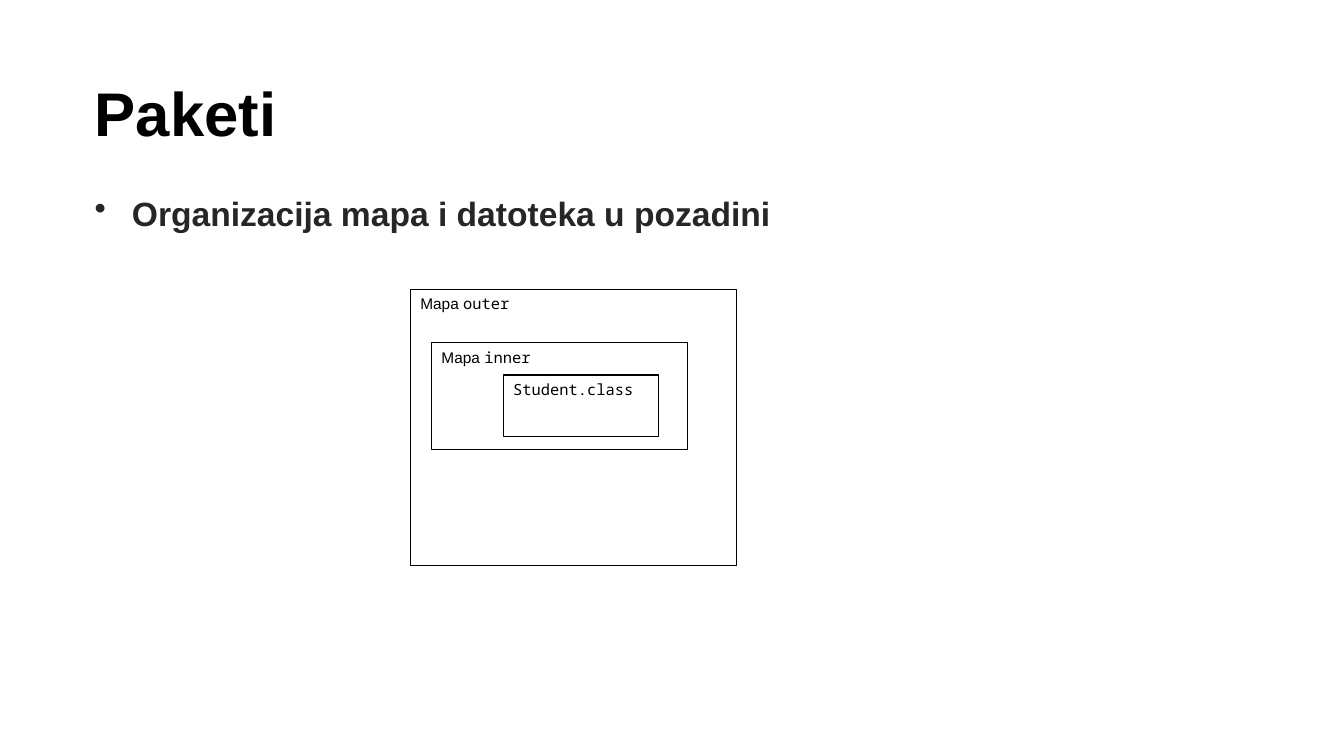
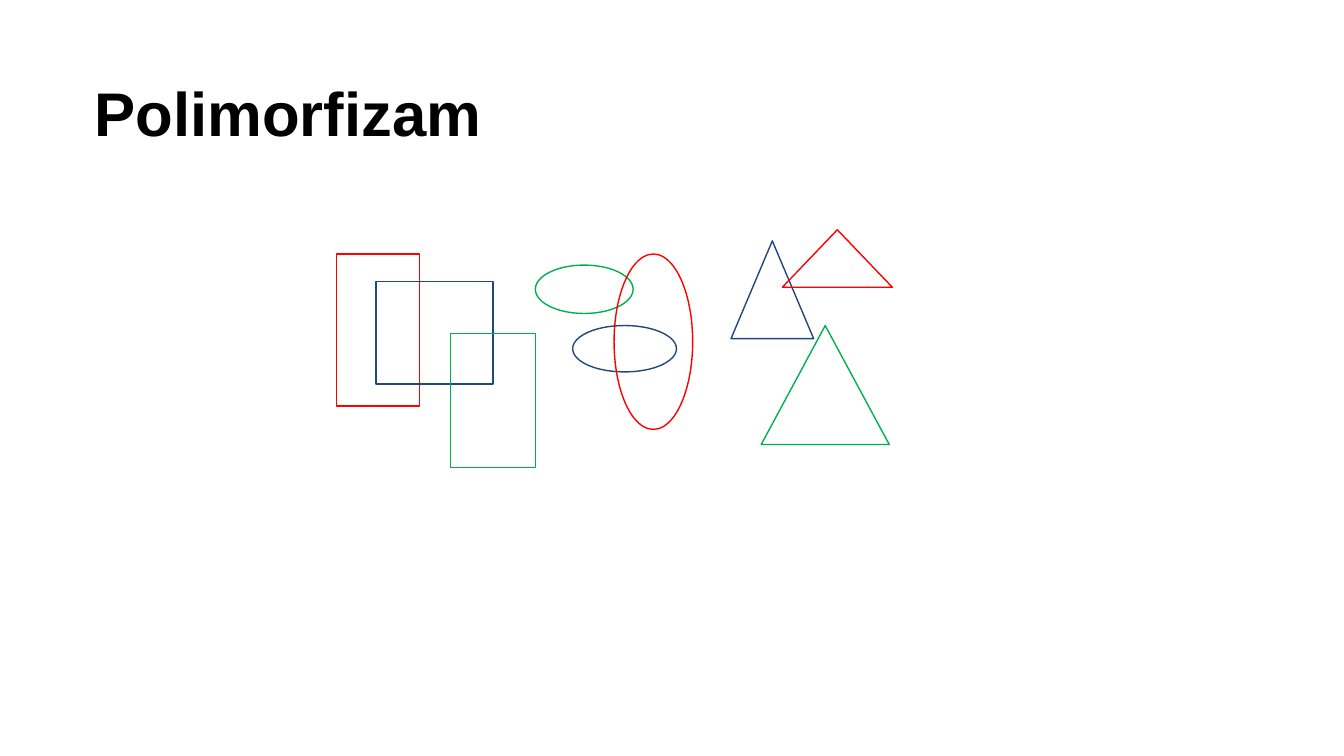
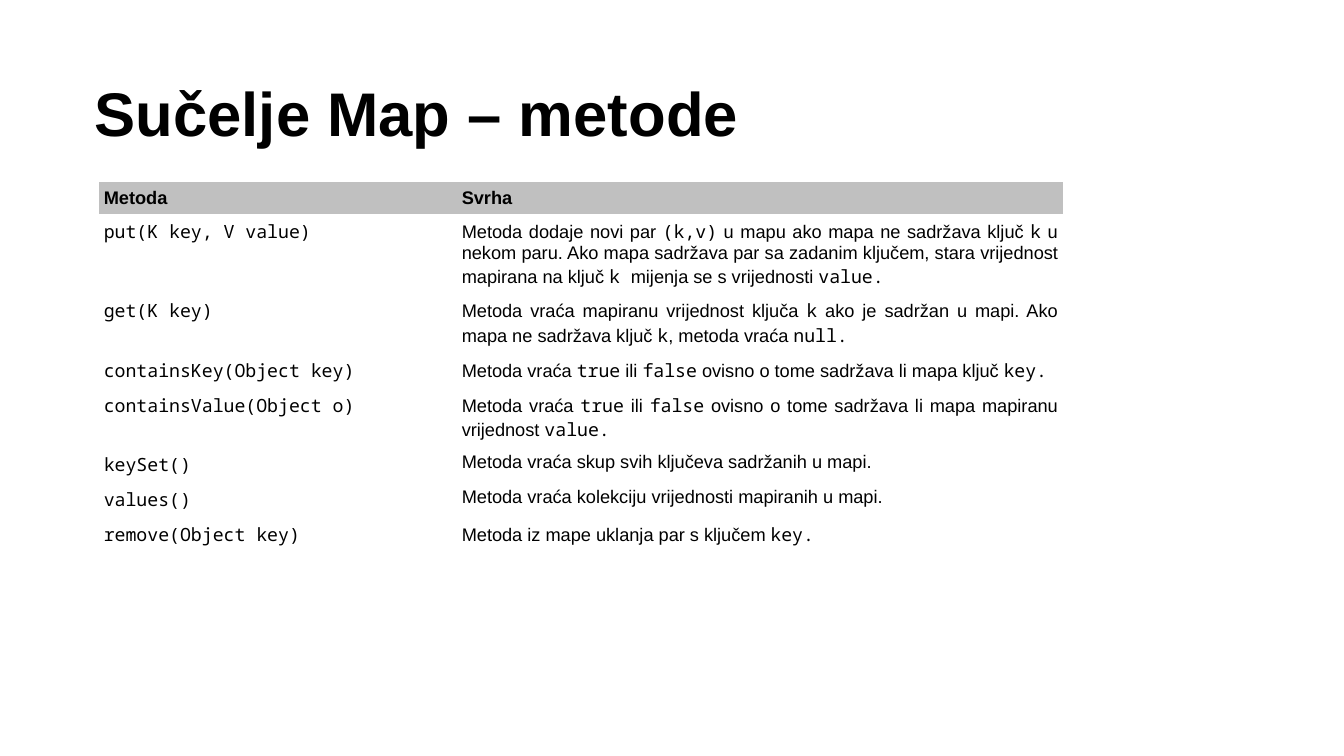
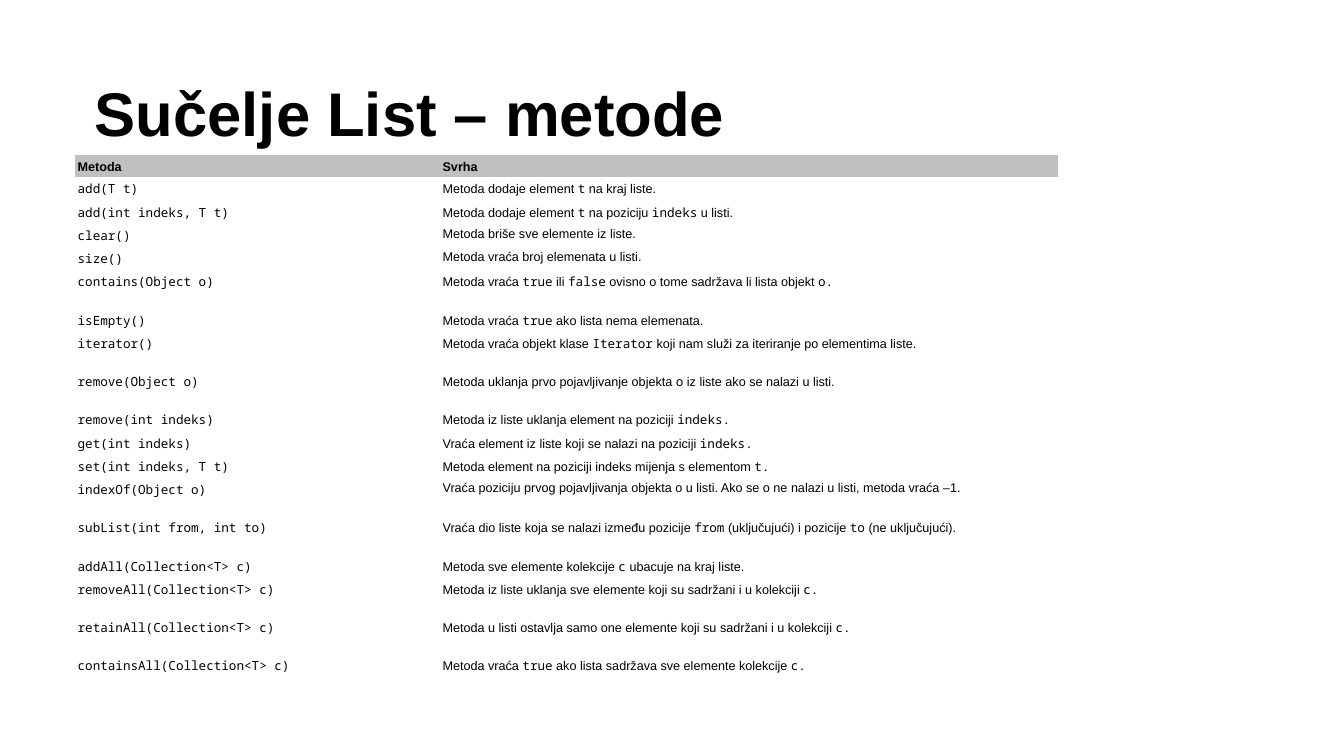
import pptx
import pptx.util
import pptx.dml.color
import pptx.enum.shapes
import pptx.enum.text
import pptx.oxml
import pptx.oxml.ns
from dataclasses import dataclass

Inches, Pt = pptx.util.Inches, pptx.util.Pt
Align, Anchor = pptx.enum.text.PP_ALIGN, pptx.enum.text.MSO_ANCHOR
Auto = pptx.enum.text.MSO_AUTO_SIZE
Kind = pptx.enum.shapes.MSO_SHAPE


@dataclass(frozen=True)
class Theme:
    sans: str = "Arial"
    mono: str = "Noto Sans Mono"
    black: str = "000000"
    body: str = "262626"
    white: str = "FFFFFF"
    grey: str = "C0C0C0"
    red: str = "FF0000"
    green: str = "00B050"
    blue: str = "1F497D"
    title: int = 44
    bullet: int = 24
    label: int = 11


T = Theme()
PLAIN = "{2D5ABB26-0587-4C30-8999-92F81FD0307C}"  # table style without grid

# Text between backticks is set in the code font.
BULLET = "Organizacija mapa i datoteka u pozadini"
FOLDERS = [
    ("Mapa `outer`", (4.07, 2.87, 3.24, 2.74)),
    ("Mapa `inner`", (4.28, 3.4, 2.54, 1.06)),
    ("`Student.class`", (4.99, 3.72, 1.54, 0.61)),
]

FIGURES = [
    (Kind.OVAL, T.green, (5.31, 2.63, 0.97, 0.48)),
    (Kind.OVAL, T.blue, (5.68, 3.23, 1.03, 0.46)),
    (Kind.OVAL, T.red, (6.09, 2.52, 0.78, 1.74)),
    (Kind.RECTANGLE, T.red, (3.34, 2.52, 0.82, 1.51)),
    (Kind.RECTANGLE, T.blue, (3.73, 2.79, 1.16, 1.02)),
    (Kind.RECTANGLE, T.green, (4.47, 3.31, 0.84, 1.33)),
    (Kind.ISOSCELES_TRIANGLE, T.blue, (7.25, 2.39, 0.82, 0.97)),
    (Kind.ISOSCELES_TRIANGLE, T.green, (7.55, 3.23, 1.27, 1.18)),
    (Kind.ISOSCELES_TRIANGLE, T.red, (7.76, 2.28, 1.09, 0.57)),
]

HEADS = ("Metoda", "Svrha")

# Each row: method, purpose, height.
MAP = [
    ("put(K key, V value)",
     "Metoda dodaje novi par `(k,v)` u mapu ako mapa ne sadržava ključ `k` u nekom paru. "
     "Ako mapa sadržava par sa zadanim ključem, stara vrijednost mapirana na ključ "
     "`k `mijenja se s vrijednosti `value. `", 0.74),
    ("get(K key)",
     "Metoda vraća mapiranu vrijednost ključa `k` ako je sadržan u mapi. "
     "Ako mapa ne sadržava ključ `k`, metoda vraća `null.`", 0.53),
    ("containsKey(Object key)",
     "Metoda vraća `true` ili `false` ovisno o tome sadržava li mapa ključ `key.`", 0.31),
    ("containsValue(Object o)",
     "Metoda vraća `true` ili `false` ovisno o tome sadržava li mapa mapiranu "
     "vrijednost `value.`", 0.53),
    ("keySet()", "Metoda vraća skup svih ključeva sadržanih u mapi. ", 0.31),
    ("values()", "Metoda vraća kolekciju vrijednosti mapiranih u mapi.", 0.31),
    ("remove(Object key)", "Metoda iz mape uklanja par s ključem `key.`", 0.31),
]

LIST = [
    ("add(T t)", "Metoda dodaje element `t` na kraj liste. ", 0.22),
    ("add(int indeks, T t)", "Metoda dodaje element `t` na poziciju `indeks` u listi.", 0.22),
    ("clear()", "Metoda briše sve elemente iz liste.", 0.22),
    ("size()", "Metoda vraća broj elemenata u listi.", 0.22),
    ("contains(Object o)",
     "Metoda vraća `true` ili `false` ovisno o tome sadržava li lista objekt `o.`", 0.38),
    ("isEmpty()", "Metoda vraća `true` ako lista nema elemenata. ", 0.22),
    ("iterator()",
     "Metoda vraća objekt klase `Iterator` koji nam služi za iteriranje po elementima liste.",
     0.38),
    ("remove(Object o)",
     "Metoda uklanja prvo pojavljivanje objekta `o` iz liste ako se nalazi u listi.", 0.38),
    ("remove(int indeks)", "Metoda iz liste uklanja element na poziciji `indeks.`", 0.22),
    ("get(int indeks)", "Vraća element iz liste koji se nalazi na poziciji `indeks.`", 0.22),
    ("set(int indeks, T t)",
     "Metoda element na poziciji indeks mijenja s elementom `t.`", 0.22),
    ("indexOf(Object o)",
     "Vraća poziciju prvog pojavljivanja objekta o u listi. "
     "Ako se o ne nalazi u listi, metoda vraća –1.", 0.38),
    ("subList(int from, int to)",
     "Vraća dio liste koja se nalazi između pozicije `from` (uključujući) i pozicije "
     "`to` (ne uključujući).", 0.38),
    ("addAll(Collection<T> c)", "Metoda sve elemente kolekcije `c` ubacuje na kraj liste.", 0.22),
    ("removeAll(Collection<T> c)",
     "Metoda iz liste uklanja sve elemente koji su sadržani i u kolekciji `c.`", 0.38),
    ("retainAll(Collection<T> c)",
     "Metoda u listi ostavlja samo one elemente koji su sadržani i u kolekciji `c.`", 0.38),
    ("containsAll(Collection<T> c)",
     "Metoda vraća `true` ako lista sadržava sve elemente kolekcije `c.`", 0.38),
]


def rgb(code):
    return pptx.dml.color.RGBColor.from_string(code)


def place(box):
    return [Inches(v) for v in box]


def write(para, text, size, color=T.black, bold=False, align=Align.LEFT):
    """Fill a paragraph, setting the parts between backticks in the code font."""
    para.alignment = align
    for i, part in enumerate(text.split("`")):
        if part:
            run = para.add_run()
            run.text = part
            run.font.name = T.mono if i % 2 else T.sans
            run.font.size = Pt(size)
            run.font.bold = bold
            run.font.color.rgb = rgb(color)


def page(deck, title):
    """Add a slide with its title and return it."""
    slide = deck.slides.add_slide(deck.slide_layouts[5])
    head = slide.shapes.title
    head.left, head.top, head.width, head.height = place((0.84, 0.62, 10, 0.92))
    frame = head.text_frame
    frame.auto_size = Auto.NONE
    frame.vertical_anchor = Anchor.BOTTOM
    para = frame.paragraphs[0]
    para.line_spacing = 0.9
    write(para, title, T.title, bold=True)
    return slide


def point(slide, text, box):
    """Add a bulleted line."""
    frame = slide.shapes.add_textbox(*place(box)).text_frame
    frame.word_wrap = True
    frame.auto_size = Auto.SHAPE_TO_FIT_TEXT
    para = frame.paragraphs[0]
    para.space_before = Pt(0.2 * T.bullet)
    write(para, text, T.bullet, T.body, bold=True)
    props = para._p.get_or_add_pPr()
    props.set("marL", str(Inches(0.37)))
    props.set("indent", str(Inches(-0.37)))
    mark = pptx.oxml.parse_xml(f'<a:buChar {pptx.oxml.ns.nsdecls("a")} char="•"/>')
    props.append(mark)


def draw(group, kind, box, line, width, fill=None):
    shape = group.shapes.add_shape(kind, *place(box))
    shape.shadow.inherit = False
    if fill:
        shape.fill.solid()
        shape.fill.fore_color.rgb = rgb(fill)
    else:
        shape.fill.background()
    shape.line.color.rgb = rgb(line)
    shape.line.width = Pt(width)
    return shape


def grid(slide, rows, spot, cols, size, pad):
    """Add a table of methods with a grey head row as tall as the lowest row."""
    tall = [min(r[2] for r in rows)] + [r[2] for r in rows]
    box = (*spot, sum(cols), sum(tall))
    frame = slide.shapes.add_table(len(tall), len(cols), *place(box))
    for tag in frame.element.iter(pptx.oxml.ns.qn("a:tableStyleId")):
        tag.text = PLAIN
    table = frame.table
    table.first_row = table.horz_banding = False
    for col, width in zip(table.columns, cols):
        col.width = Inches(width)
    for row, height in zip(table.rows, tall):
        row.height = Inches(height)
    texts = [HEADS] + [(f"`{name}`", use) for name, use, _ in rows]
    for r, line in enumerate(texts):
        for c, text in enumerate(line):
            cell = table.cell(r, c)
            cell.margin_left = cell.margin_right = Inches(pad)
            cell.margin_top = cell.margin_bottom = Inches(pad)
            para = cell.text_frame.paragraphs[0]
            if r == 0:
                cell.fill.solid()
                cell.fill.fore_color.rgb = rgb(T.grey)
                cell.vertical_anchor = Anchor.BOTTOM
                write(para, text, size, bold=True)
            else:
                cell.fill.background()
                cell.vertical_anchor = Anchor.TOP
                write(para, text, size, align=Align.JUSTIFY)


def main():
    deck = pptx.Presentation()
    deck.slide_width, deck.slide_height = place((13.33, 7.5))

    slide = page(deck, "Paketi")
    point(slide, BULLET, (0.84, 1.86, 9.17, 0.5))
    group = slide.shapes.add_group_shape()
    for text, box in FOLDERS:
        shape = draw(group, Kind.RECTANGLE, box, T.black, 0.75, T.white)
        shape.text_frame.vertical_anchor = Anchor.TOP
        write(shape.text_frame.paragraphs[0], text, T.label, align=Align.JUSTIFY)

    slide = page(deck, "Polimorfizam")
    group = slide.shapes.add_group_shape()
    for kind, color, box in FIGURES:
        draw(group, kind, box, color, 1)

    slide = page(deck, "Sučelje Map – metode")
    grid(slide, MAP, (0.98, 1.81), (3.55, 6.01), 13, 0.05)

    slide = page(deck, "Sučelje List – metode")
    grid(slide, LIST, (0.74, 1.54), (3.62, 6.13), 9, 0.03)

    deck.save("out.pptx")


if __name__ == "__main__":
    main()
